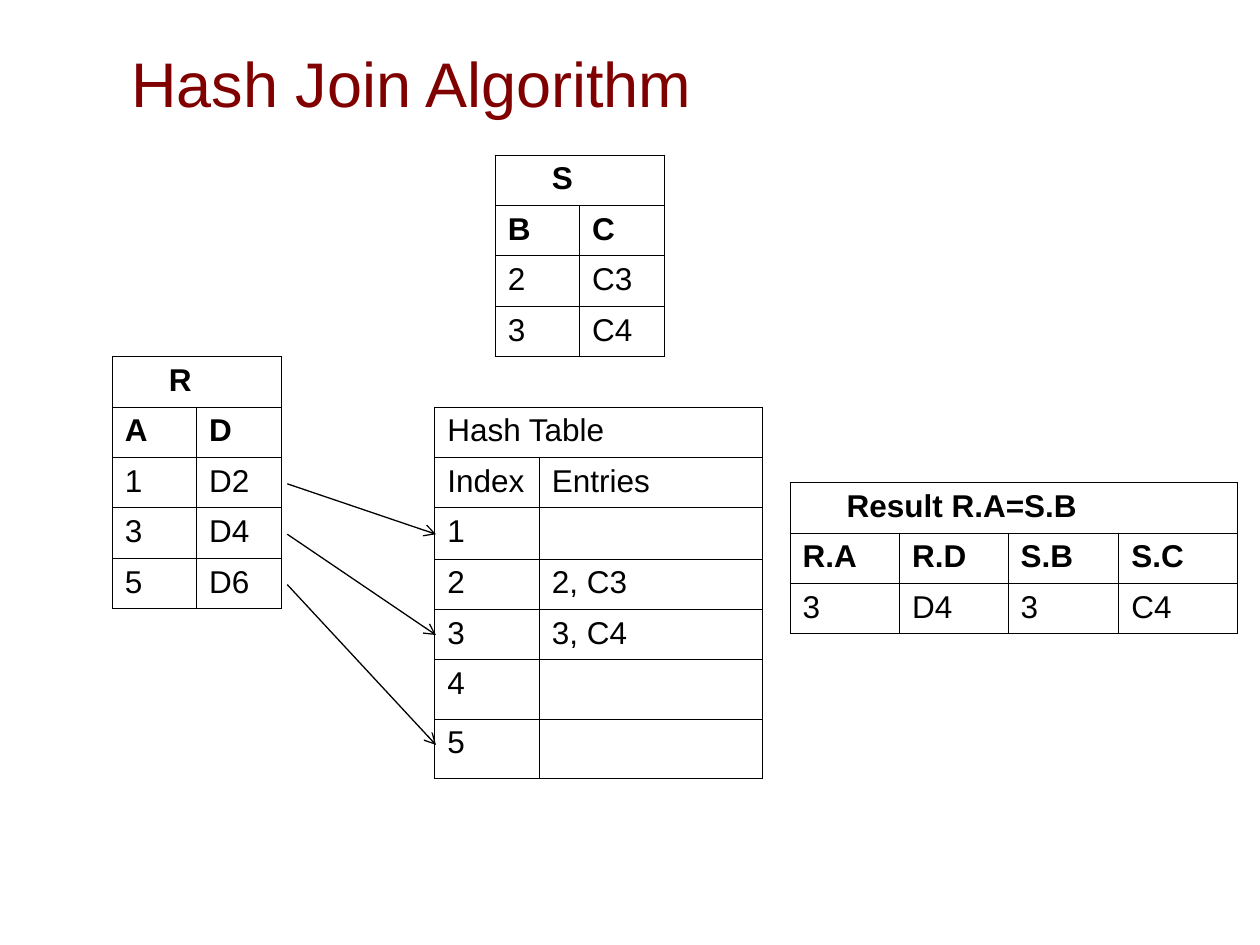
import pptx
import pptx.util
import pptx.dml.color
import pptx.enum.shapes
import pptx.enum.text
import pptx.oxml.ns
import lxml.etree
from dataclasses import dataclass


@dataclass(frozen=True)
class Theme:
    font: str = "Arial"
    title_size: int = 36
    body_size: int = 18
    title_color: str = "800000"
    ink: str = "000000"
    paper: str = "FFFFFF"
    border: float = 0.45
    arrow: float = 0.75


THEME = Theme()
TITLE = "Hash Join Algorithm"
WIDTH, HEIGHT = 10, 7.5
COL = WIDTH / 100
ROW = 0.4
GRID_TOP = 1.23
CAPTION_INDENT = 0.45

TABLES = {
    "R": dict(left=8.9, row=4, cols=[6.7, 6.7], bold_rows=2, indent=True,
              cells=[["R"], ["A", "D"], ["1", "D2"], ["3", "D4"], ["5", "D6"]]),
    "S": dict(left=39.3, row=0, cols=[6.7, 6.7], bold_rows=2, indent=True,
              cells=[["S"], ["B", "C"], ["2", "C3"], ["3", "C4"]]),
    "Hash": dict(left=34.5, row=5, cols=[8.3, 17.7], bold_rows=0, indent=False,
                 tall={5: 1.18, 6: 1.18},
                 cells=[["Hash Table"], ["Index", "Entries"], ["1", ""], ["2", "2, C3"],
                        ["3", "3, C4"], ["4", ""], ["5", ""]]),
    "Result": dict(left=62.7, row=6.5, cols=[8.7, 8.6, 8.8, 9.4], bold_rows=2, indent=True,
                   cells=[["Result R.A=S.B"], ["R.A", "R.D", "S.B", "S.C"],
                          ["3", "D4", "3", "C4"]]),
}
ARROWS = [(2, 2), (3, 4), (4, 6)]
ARROW_START, ARROW_END = 22.8, 34.6
ARROW_DROP = 0.21

inch = pptx.util.Inches
qn = pptx.oxml.ns.qn


def rgb(value):
    return pptx.dml.color.RGBColor.from_string(value)


def add_run(p, text, size, color, bold=False):
    r = p.add_run()
    r.text = text
    r.font.name = THEME.font
    r.font.size = pptx.util.Pt(size)
    r.font.color.rgb = rgb(color)
    r.font.bold = bold


def add_borders(cell):
    tcPr = cell._tc.get_or_add_tcPr()
    for i, side in enumerate(("lnL", "lnR", "lnT", "lnB")):
        ln = lxml.etree.Element(qn("a:" + side), w=str(pptx.util.Pt(THEME.border)))
        fill = lxml.etree.SubElement(ln, qn("a:solidFill"))
        lxml.etree.SubElement(fill, qn("a:srgbClr"), val=THEME.ink)
        tcPr.insert(i, ln)


def row_heights(data):
    tall = data.get("tall", {})
    return [ROW * tall.get(i, 1) for i in range(len(data["cells"]))]


def row_top(name, index):
    data = TABLES[name]
    return GRID_TOP + data["row"] * ROW + sum(row_heights(data)[:index])


def add_table(s, name, data):
    heights, cols, cells = row_heights(data), data["cols"], data["cells"]
    tbl = s.shapes.add_table(len(cells), len(cols), inch(data["left"] * COL),
                             inch(row_top(name, 0)), inch(sum(cols) * COL),
                             inch(sum(heights))).table
    tbl.first_row = tbl.horz_banding = False
    for col, width in zip(tbl.columns, cols):
        col.width = inch(width * COL)
    for row, height in zip(tbl.rows, heights):
        row.height = inch(height)
    for cell in tbl.iter_cells():
        cell.fill.solid()
        cell.fill.fore_color.rgb = rgb(THEME.paper)
        add_borders(cell)
    tbl.cell(0, 0).merge(tbl.cell(0, len(cols) - 1))
    if data["indent"]:
        tbl.cell(0, 0).margin_left = inch(CAPTION_INDENT)
    for i, texts in enumerate(cells):
        for j, text in enumerate(texts):
            if text:
                p = tbl.cell(i, j).text_frame.paragraphs[0]
                add_run(p, text, THEME.body_size, THEME.ink, i < data["bold_rows"])


def add_arrow(s, r_row, hash_row):
    line = s.shapes.add_connector(
        pptx.enum.shapes.MSO_CONNECTOR.STRAIGHT,
        inch(ARROW_START * COL), inch(row_top("R", r_row) + ARROW_DROP),
        inch(ARROW_END * COL), inch(row_top("Hash", hash_row) + ARROW_DROP))
    line.line.color.rgb = rgb(THEME.ink)
    line.line.width = pptx.util.Pt(THEME.arrow)
    lxml.etree.SubElement(line.line._get_or_add_ln(), qn("a:tailEnd"), type="arrow")
    lxml.etree.SubElement(line._element.spPr, qn("a:effectLst"))


def add_title(s):
    sp = s.shapes.title
    sp.left, sp.top, sp.width, sp.height = map(inch, (0.94, 0.12, 8.5, 0.88))
    tf = sp.text_frame
    tf.auto_size = pptx.enum.text.MSO_AUTO_SIZE.NONE
    tf.vertical_anchor = pptx.enum.text.MSO_ANCHOR.BOTTOM
    p = tf.paragraphs[0]
    p.alignment = pptx.enum.text.PP_ALIGN.LEFT
    add_run(p, TITLE, THEME.title_size, THEME.title_color)


def main():
    prs = pptx.Presentation()
    prs.slide_width, prs.slide_height = inch(WIDTH), inch(HEIGHT)
    s = prs.slides.add_slide(prs.slide_layouts.get_by_name("Title Only"))
    add_title(s)
    for name, data in TABLES.items():
        add_table(s, name, data)
    for r_row, hash_row in ARROWS:
        add_arrow(s, r_row, hash_row)
    prs.save("out.pptx")


if __name__ == "__main__":
    main()
